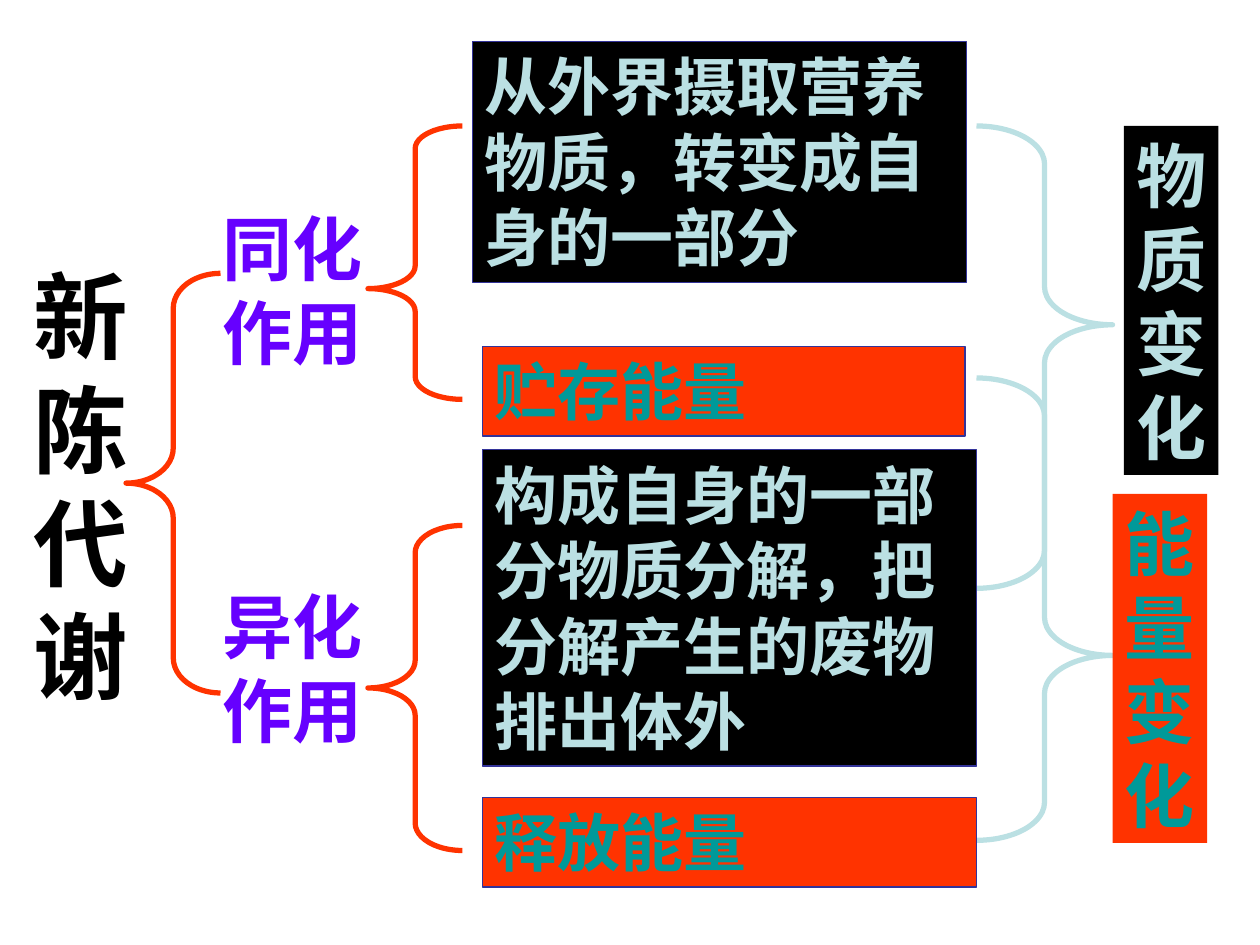
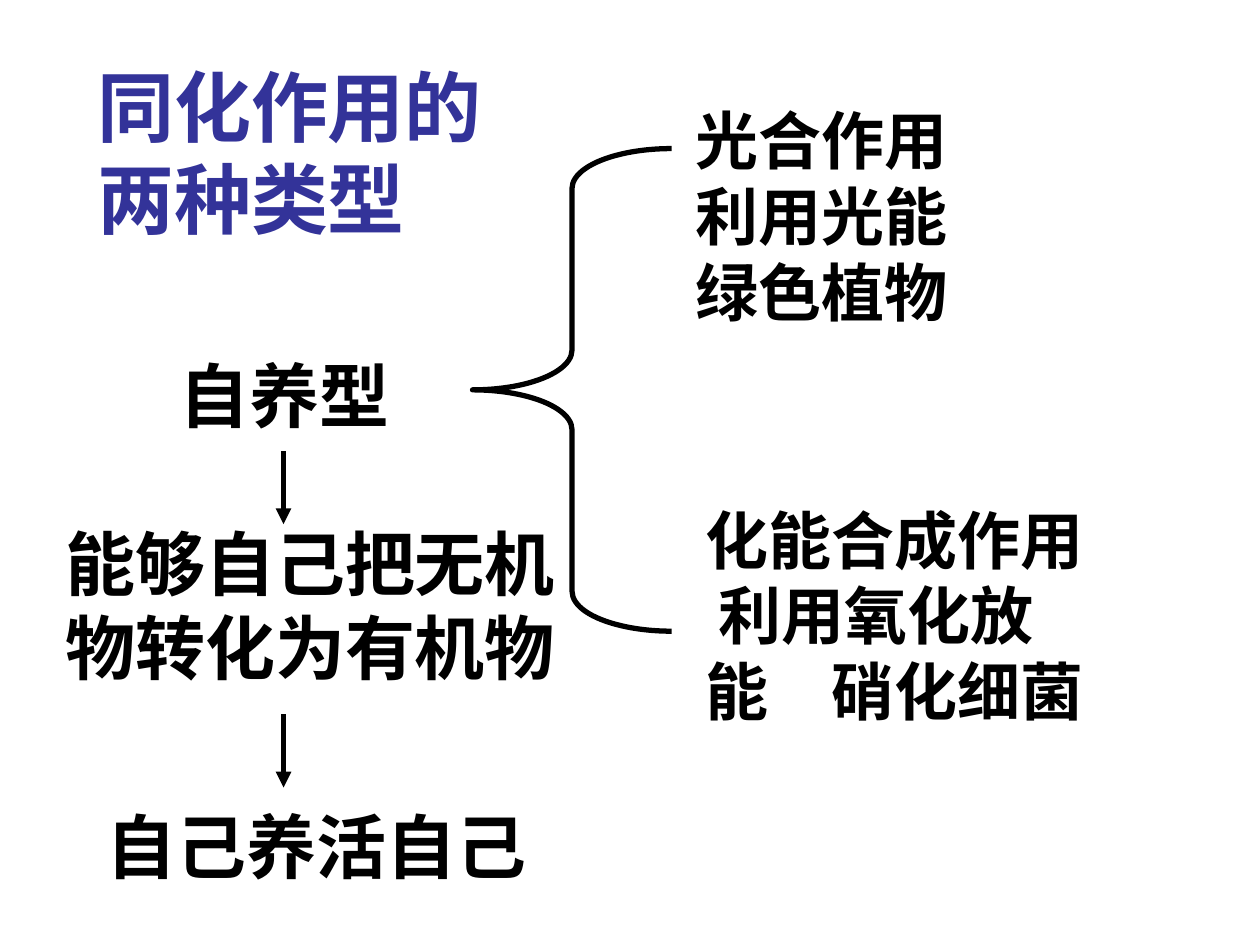
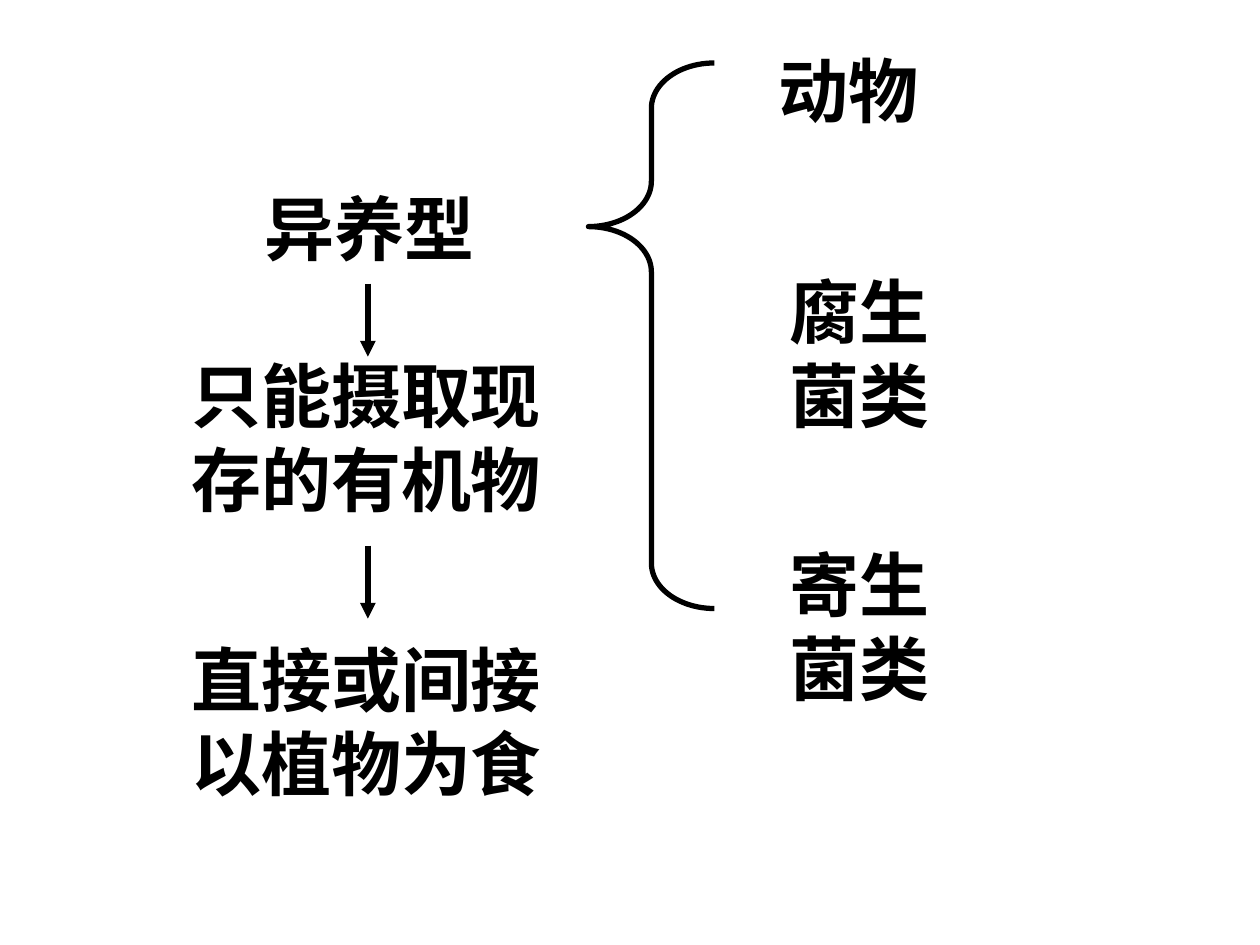
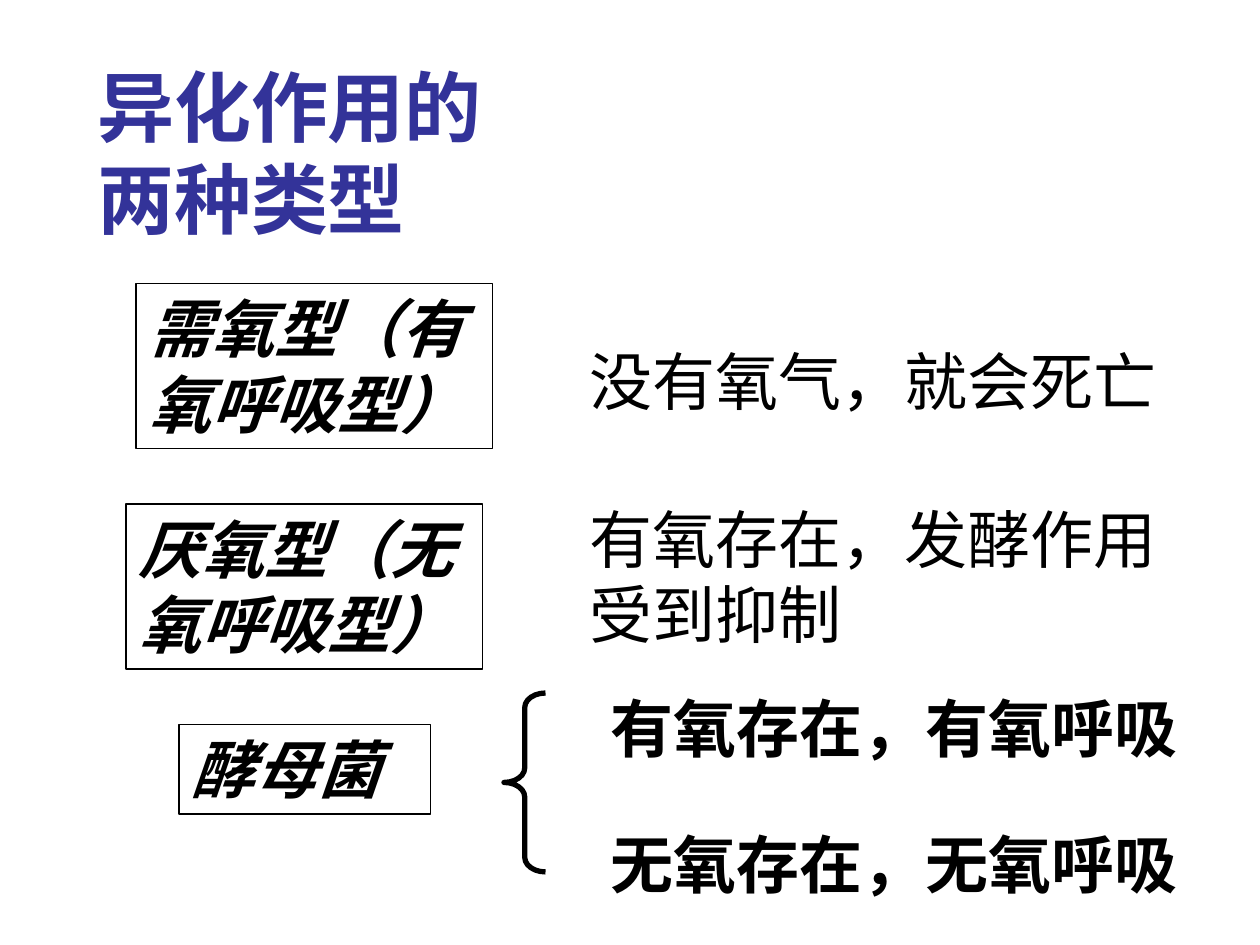
import pptx
import pptx.dml.color
import pptx.enum.shapes
import pptx.enum.text
import pptx.util
from lxml import etree
from pptx.oxml.ns import qn

Inches = pptx.util.Inches
ShapeType = pptx.enum.shapes.MSO_SHAPE

COLORS = {
    "black": "000000", "red": "FF3300", "purple": "6600FF", "navy": "333399",
    "pale": "BBE0E3", "teal": "009999",
}
SERIF, SANS = "Times New Roman", "Noto Sans CJK SC"
BRACE_WIDTH, BORDER_WIDTH, ARROW_LENGTH = 3, 0.75, 0.58


def style(size, color="black", fill=None, border=None, name=SERIF, bold=True, italic=False):
    font = {"size": pptx.util.Pt(size), "name": name, "bold": bold, "italic": italic}
    return {"font": font, "color": color, "fill": fill, "border": border}


STYLES = {
    "title": style(44, "navy"),
    "root": style(54),
    "branch": style(40, "purple"),
    "label": style(40),
    "matter": style(36, "pale", "black", "navy"),
    "energy": style(36, "teal", "red", "navy"),
    "matter total": style(40, "pale", "black"),
    "energy total": style(40, "teal", "red"),
    "example": style(36, name=SANS),
    "framed": style(36, border="black", italic=True),
    "plain": style(36, bold=False),
    "strong": style(36),
}
TITLE_BOX = (0.67, 0.42, 3.67, 1.57)

# Content: texts are (style, text or paragraphs, box); braces are
# (side, colour, box, curve, point); arrows are (x, top)
SLIDES = [
    {
        "braces": [
            ("left", "red", (1, 2.17, 0.75, 3.33), 0.37, 0.5),
            ("left", "red", (2.92, 1, 0.75, 2.17), 0.24, 0.595),
            ("left", "red", (2.92, 4.17, 0.75, 2.58), 0.29, 0.5),
            ("right", "pale", (7.75, 1, 1.08, 3.67), 0.28, 0.54 - 0.11),
            ("right", "pale", (7.75, 3, 1.08, 3.67), 0.28, 0.6),
        ],
        "texts": [
            ("root", "新陈代谢", (0.17, 2, 1, 3.7)),
            ("branch", "同化作用", (1.67, 1.58, 1.33, 1.43)),
            ("branch", "异化作用", (1.67, 4.58, 1.33, 1.43)),
            ("matter", "从外界摄取营养物质，转变成自身的一部分", (3.75, 0.33, 3.92, 1.91)),
            ("energy", "贮存能量", (3.83, 2.75, 3.83, 0.71)),
            ("matter", "构成自身的一部分物质分解，把分解产生的废物排出体外",
             (3.83, 3.57, 3.92, 2.51)),
            ("energy", "释放能量", (3.83, 6.33, 3.92, 0.71)),
            ("matter total", "物质变化", (8.92, 1, 0.75, 2.77)),
            ("energy total", "能量变化", (8.83, 3.92, 0.75, 2.77)),
        ],
    },
    {
        "title": "同化作用的两种类型",
        "braces": [("left", "black", (3.75, 1.18, 1.58, 3.83), 0.2, 0.5)],
        "texts": [
            ("label", "自养型", (1.33, 2.75, 2.17, 0.77)),
            ("label", "能够自己把无机物转化为有机物", (0.42, 4.08, 4.25, 1.43)),
            ("label", "自己养活自己", (0.75, 6.33, 3.58, 0.77)),
            ("example", "光合作用 利用光能 绿色植物", (5.42, 0.76, 2.58, 1.9)),
            ("example", ["化能合成作用", "利用氧化放能\t硝化细菌"], (5.5, 3.93, 3.25, 1.9)),
        ],
        "arrows": [(2.25, 3.58), (2.25, 5.67)],
    },
    {
        "braces": [("left", "black", (4.67, 0.5, 1, 4.33), 0.36, 0.3)],
        "texts": [
            ("label", "异养型", (2, 1.42, 2.17, 0.77)),
            ("label", "只能摄取现存的有机物", (1.42, 2.75, 3.33, 1.43)),
            ("label", "直接或间接以植物为食", (1.42, 5, 3.17, 1.43)),
            ("label", "动物", (6.08, 0.33, 1.5, 0.77)),
            ("label", "腐生菌类", (6.17, 2.08, 1.5, 1.43)),
            ("label", "寄生菌类", (6.17, 4.25, 1.5, 1.43)),
        ],
        "arrows": [(2.92, 2.25), (2.92, 4.33)],
    },
    {
        "title": "异化作用的两种类型",
        "braces": [("left", "black", (4, 5.5, 0.33, 1.42), 0.35, 0.5)],
        "texts": [
            ("framed", "需氧型（有氧呼吸型）", (1.08, 2.25, 2.83, 1.31)),
            ("framed", "厌氧型（无氧呼吸型）", (1, 4, 2.83, 1.31)),
            ("framed", "酵母菌", (1.42, 5.75, 2, 0.71)),
            ("plain", "没有氧气，就会死亡", (4.58, 2.67, 4.83, 0.7)),
            ("plain", "有氧存在，发酵作用受到抑制", (4.58, 3.92, 4.83, 1.3)),
            ("strong", "有氧存在，有氧呼吸", (4.75, 5.42, 4.83, 0.7)),
            ("strong", "无氧存在，无氧呼吸", (4.75, 6.5, 4.83, 0.7)),
        ],
    },
]


def rgb(color):
    return pptx.dml.color.RGBColor.from_string(COLORS[color])


def set_line(line, color, width):
    line.color.rgb = rgb(color)
    line.width = pptx.util.Pt(width)


def indent_with_tab(paragraph, indent=0.1, tab=0.73):
    properties = paragraph._p.get_or_add_pPr()
    properties.set("marL", "0")
    properties.set("indent", str(Inches(indent)))
    tabs = etree.SubElement(properties, qn("a:tabLst"))
    etree.SubElement(tabs, qn("a:tab"), pos=str(Inches(tab)), algn="l")


def write_text(shape, text, look):
    """Fill a shape's frame with left-aligned, top-anchored text."""
    frame = shape.text_frame
    settings = {
        "word_wrap": True,
        "auto_size": pptx.enum.text.MSO_AUTO_SIZE.SHAPE_TO_FIT_TEXT,
        "vertical_anchor": pptx.enum.text.MSO_ANCHOR.TOP,
    }
    for attribute, value in settings.items():
        setattr(frame, attribute, value)
    lines = [text] if isinstance(text, str) else text
    frame.text = "\n".join(lines)
    for paragraph in frame.paragraphs:
        paragraph.alignment = pptx.enum.text.PP_ALIGN.LEFT
        if "\t" in paragraph.text:
            indent_with_tab(paragraph)
        for run in paragraph.runs:
            for attribute, value in look["font"].items():
                setattr(run.font, attribute, value)
            run.font.color.rgb = rgb(look["color"])


def add_text(slide, style_name, text, box):
    look = STYLES[style_name]
    place = [Inches(length) for length in box]
    if look["fill"] or look["border"]:
        shape = slide.shapes.add_shape(ShapeType.RECTANGLE, *place)
        shape.shadow.inherit = False
        if look["fill"]:
            shape.fill.solid()
            shape.fill.fore_color.rgb = rgb(look["fill"])
        else:
            shape.fill.background()
        if look["border"]:
            set_line(shape.line, look["border"], BORDER_WIDTH)
        else:
            shape.line.fill.background()
    else:
        shape = slide.shapes.add_textbox(*place)
    write_text(shape, text, look)


def add_title(slide, text):
    title = slide.shapes.title
    for attribute, length in zip(("left", "top", "width", "height"), TITLE_BOX):
        setattr(title, attribute, Inches(length))
    write_text(title, text, STYLES["title"])


def add_brace(slide, side, color, box, curve, point):
    kind = ShapeType.LEFT_BRACE if side == "left" else ShapeType.RIGHT_BRACE
    brace = slide.shapes.add_shape(kind, *[Inches(length) for length in box])
    brace.shadow.inherit = False
    brace.fill.background()
    brace.adjustments[0], brace.adjustments[1] = curve, point
    set_line(brace.line, color, BRACE_WIDTH)


def add_arrow(slide, x, top):
    arrow = slide.shapes.add_connector(
        pptx.enum.shapes.MSO_CONNECTOR.STRAIGHT,
        Inches(x), Inches(top), Inches(x), Inches(top + ARROW_LENGTH))
    set_line(arrow.line, "black", BRACE_WIDTH)
    etree.SubElement(arrow.line._get_or_add_ln(), qn("a:tailEnd"), type="triangle")
    etree.SubElement(arrow._element.spPr, qn("a:effectLst"))


def main():
    presentation = pptx.Presentation()
    presentation.slide_width, presentation.slide_height = Inches(10), Inches(7.5)
    title_only, blank = presentation.slide_layouts[5], presentation.slide_layouts[6]
    for content in SLIDES:
        slide = presentation.slides.add_slide(title_only if "title" in content else blank)
        if "title" in content:
            add_title(slide, content["title"])
        for brace in content["braces"]:
            add_brace(slide, *brace)
        for text in content["texts"]:
            add_text(slide, *text)
        for arrow in content.get("arrows", []):
            add_arrow(slide, *arrow)
    presentation.save("out.pptx")


if __name__ == "__main__":
    main()
